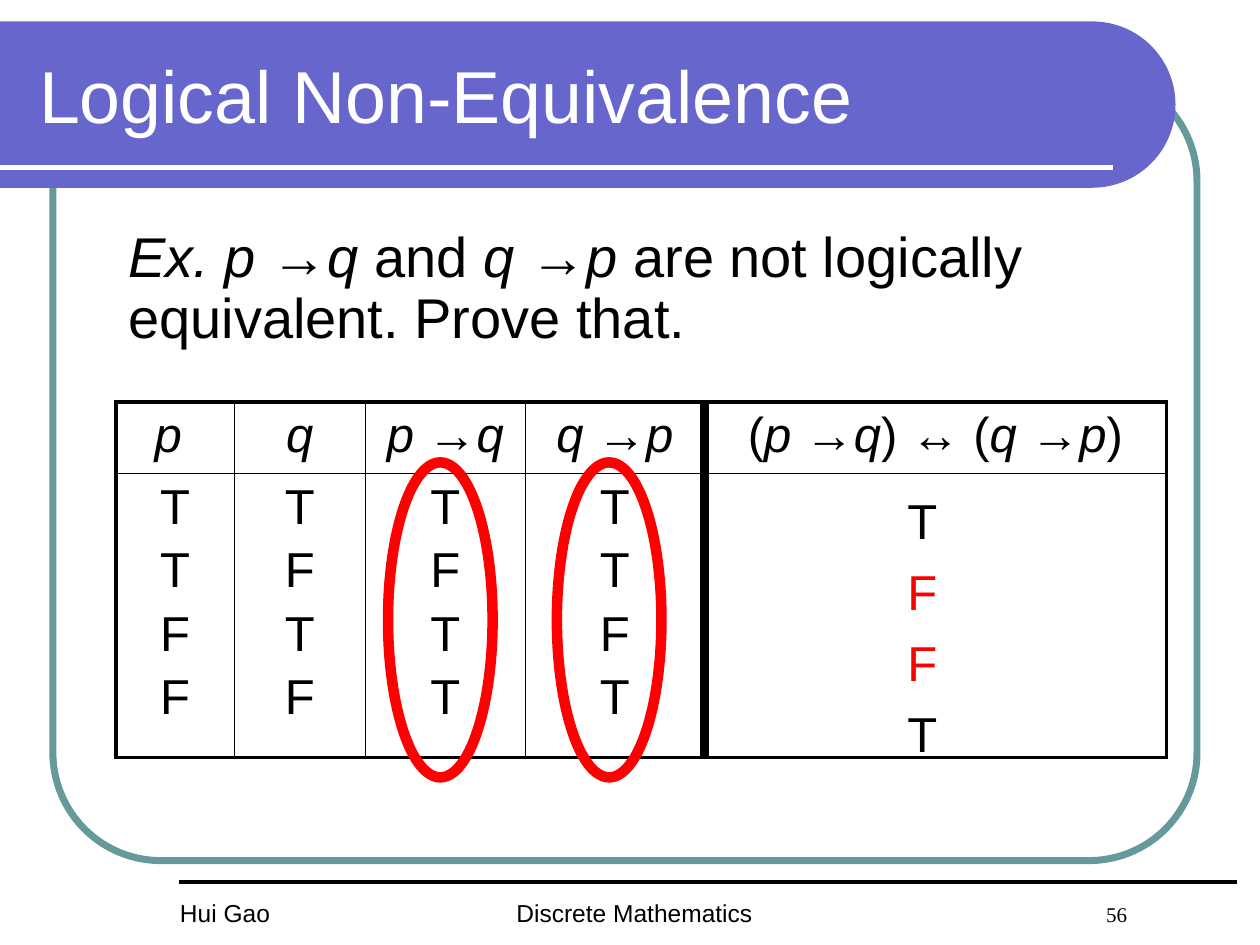
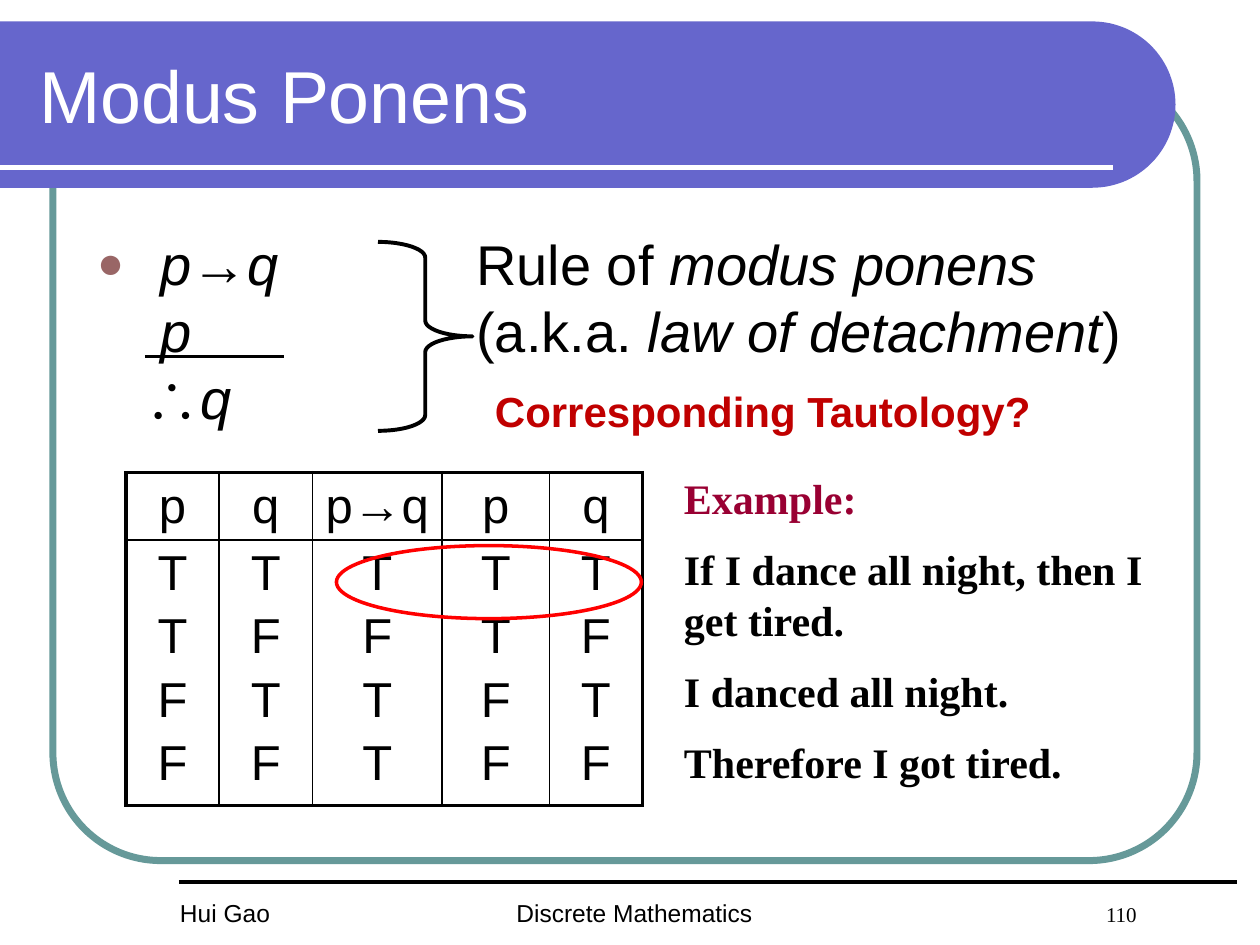
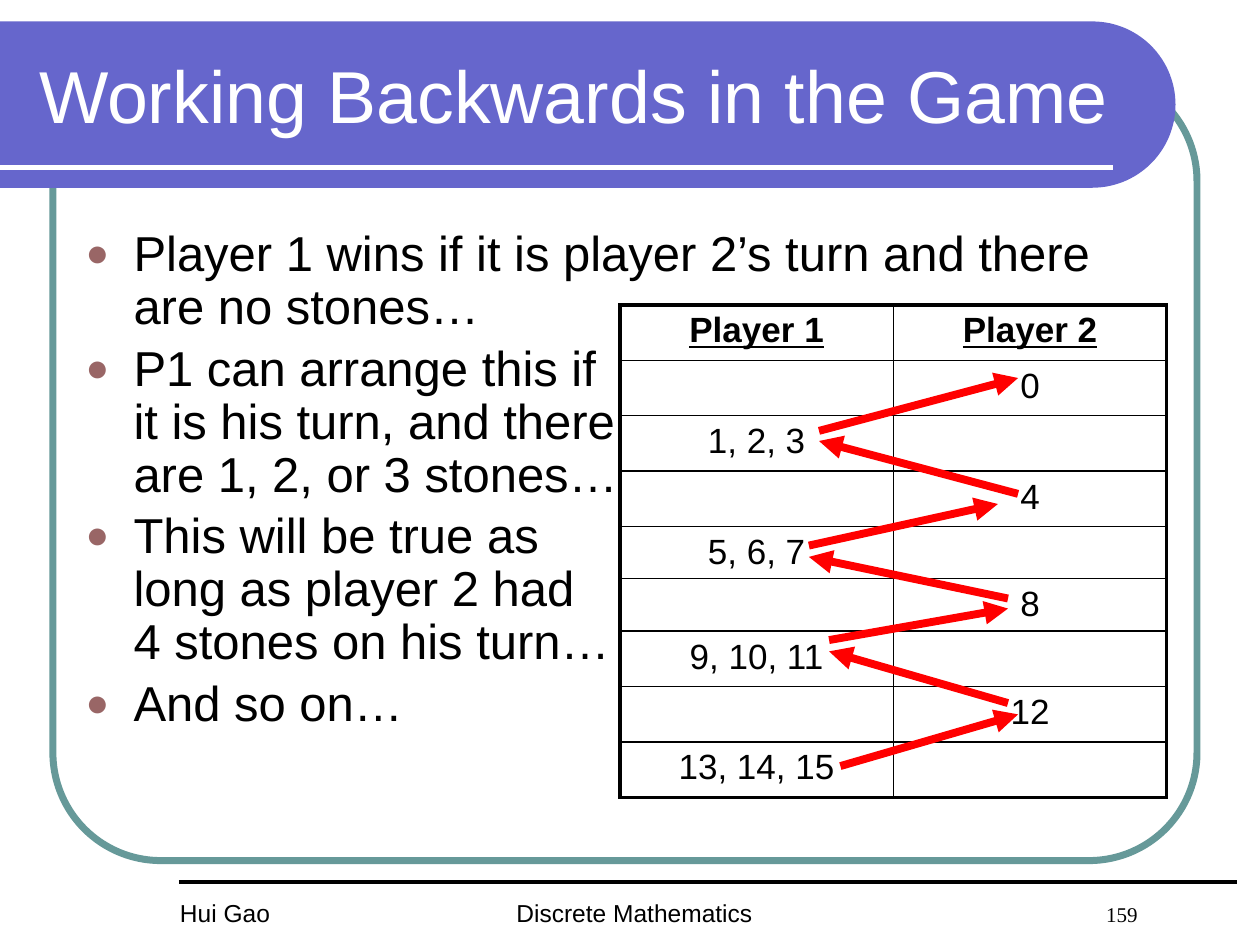
import math
import pptx
import pptx.util
import pptx.dml.color
import pptx.enum.shapes
import pptx.enum.text
import pptx.oxml
import pptx.oxml.ns

Inches, Pt = pptx.util.Inches, pptx.util.Pt
SHAPE = pptx.enum.shapes.MSO_SHAPE
ALIGN = pptx.enum.text.PP_ALIGN
NS = pptx.oxml.ns.nsdecls("a")
HUES = {"band": "6666CC", "frame": "669999", "dot": "996666", "white": "FFFFFF",
        "black": "000000", "red": "FF0000", "false": "FC0000",
        "wine": "990033", "brick": "C00000"}
RGB = {name: pptx.dml.color.RGBColor.from_string(hue) for name, hue in HUES.items()}


def put(frame, lines, size=28, font="Arial", hue="black", bold=False, under=False,
        align=ALIGN.LEFT, gap=0, lead=None, dots=False, tab=None):
    """Fill a text frame; *stars* mark italics, a (text, hue) pair sets a colour."""
    frame.word_wrap = True
    for n, line in enumerate(lines):
        words, tint = line if isinstance(line, tuple) else (line, hue)
        para = frame.paragraphs[0] if n == 0 else frame.add_paragraph()
        props = para._p.get_or_add_pPr()
        if dots:
            props.set("marL", str(Inches(0.38)))
            props.set("indent", str(-Inches(0.38)))
            for tag in (f'<a:buClr {NS}><a:srgbClr val="{HUES["dot"]}"/></a:buClr>',
                        f'<a:buSzPct {NS} val="80000"/>',
                        f'<a:buChar {NS} char="●"/>'):
                props.append(pptx.oxml.parse_xml(tag))
        if tab:
            props.append(pptx.oxml.parse_xml(
                f'<a:tabLst {NS}><a:tab pos="{Inches(tab)}" algn="l"/></a:tabLst>'))
        para.alignment = align
        para.space_before = Pt(gap if n else 0)
        if lead:
            para.line_spacing = lead
        for k, part in enumerate(words.split("*")):
            for m, piece in enumerate(part.split("\n")):
                if m:
                    para.add_line_break()
                if piece:
                    run = para.add_run()
                    run.text = piece
                    run.font.size, run.font.name = Pt(size), font
                    run.font.bold, run.font.italic = bold, k % 2 == 1
                    run.font.underline = under
                    run.font.color.rgb = RGB[tint]


def grid(slide, spot, cols, rows, cells, thick=None, fill=None, **form):
    """Add a ruled table; thick is the column whose left edge is heavy."""
    frame = slide.shapes.add_table(len(rows), len(cols), *map(Inches, spot),
                                   Inches(sum(cols)), Inches(sum(rows)))
    table = frame.table
    table.first_row = table.horz_banding = False
    for c, wide in enumerate(cols):
        table.columns[c].width = Inches(wide)
    for r, high in enumerate(rows):
        table.rows[r].height = Inches(high)
        for c in range(len(cols)):
            cell = table.cell(r, c)
            if fill:
                cell.fill.solid()
                cell.fill.fore_color.rgb = RGB[fill]
            else:
                cell.fill.background()
            edges = {"lnL": 6 if c == thick else 2.25 if c == 0 else 1,
                     "lnR": 6 if c + 1 == thick else 2.25 if c + 1 == len(cols) else 1,
                     "lnT": 2.25 if r == 0 else 1,
                     "lnB": 2.25 if r + 1 == len(rows) else 1}
            for n, (side, width) in enumerate(edges.items()):
                cell._tc.get_or_add_tcPr().insert(n, pptx.oxml.parse_xml(
                    f'<a:{side} {NS} w="{Pt(width)}"><a:solidFill>'
                    f'<a:srgbClr val="{HUES["black"]}"/></a:solidFill></a:{side}>'))
            if cells[r][c]:
                look = {"bold": r == 0, "under": r == 0} if fill else {}
                put(cell.text_frame, cells[r][c].split("|"),
                    align=ALIGN.CENTER, **look, **form)


deck = pptx.Presentation()
deck.slide_width, deck.slide_height = Inches(10), Inches(7.5)
slides, rules, marks = [], [], []

# Shared frame, band, title and footer
for title, page in (("Logical Non-Equivalence", 56), ("Modus Ponens", 110),
                    ("Working Backwards in the Game", 159)):
    slide = deck.slides.add_slide(deck.slide_layouts[1])
    slides.append(slide)
    head, body = slide.placeholders
    box = slide.shapes.add_shape(SHAPE.ROUNDED_RECTANGLE,
                                 *map(Inches, (0.42, 0.58, 9.08, 6.25)))
    box.adjustments[0] = 0.137
    box.shadow.inherit = False
    box.fill.background()
    box.line.color.rgb, box.line.width = RGB["frame"], Pt(4)

    arc = [math.radians(turn) for turn in range(-90, 91, 3)]
    path = [(8.67 + 0.66 * math.cos(t), 0.83 + 0.66 * math.sin(t)) for t in arc]
    pen = slide.shapes.build_freeform(0, Inches(0.17), 1.0)
    pen.add_line_segments([(Inches(x), Inches(y)) for x, y in path + [(0, 1.49)]])
    band = pen.convert_to_shape()
    band.shadow.inherit = False
    band.fill.solid()
    band.fill.fore_color.rgb = RGB["band"]
    band.line.fill.background()
    rules += [(slide, 0, 1.33, 8.83, 1.33, "white", 3, False),
              (slide, 1.42, 7, 9.82, 7, "black", 2.25, False)]

    foot = slide.shapes.add_textbox(*map(Inches, (4, 7.08, 5.92, 0.33))).text_frame
    put(foot, [f"Discrete Mathematics\t{page}"], size=14, tab=4.68)
    num = foot.paragraphs[0].runs[0]
    num.text = "Discrete Mathematics\t"
    last = foot.paragraphs[0].add_run()
    last.text = str(page)
    last.font.size, last.font.name = Pt(12), "Times New Roman"
    last.font.color.rgb = RGB["black"]
    name = slide.shapes.add_textbox(*map(Inches, (1.33, 7.08, 1.92, 0.33)))
    put(name.text_frame, ["Hui Gao"], size=14)

    for holder, spot in ((head, (0.21, 0.25, 8.77, 1)), (body, (0.67, 1.77, 8.67, 4.83))):
        slide.shapes._spTree.append(holder._element)
        holder.left, holder.top, holder.width, holder.height = map(Inches, spot)
        holder.text_frame.auto_size = pptx.enum.text.MSO_AUTO_SIZE.NONE
    head.text_frame.vertical_anchor = pptx.enum.text.MSO_ANCHOR.MIDDLE
    put(head.text_frame, [title], size=42, hue="white")

proof, ponens, game = slides

# Non-equivalence: claim, truth table and verdicts
claim = proof.placeholders[1]
claim._element.getparent().remove(claim._element)
claim = proof.shapes.add_textbox(*map(Inches, (0.92, 1.77, 8.17, 1.07)))
put(claim.text_frame, ["*Ex. p →q *and *q →p *are not logically equivalent. Prove that."],
    size=32, lead=0.9)
grid(proof, (0.92, 3.19), (0.94, 1.04, 1.27, 1.42, 3.67), (0.57, 2.25),
     (("*p *", "*q*", "*p *→*q*", "*q *→*p*", "(*p *→*q*) ↔ (*q *→*p*)"),
      ("T|T|F|F", "T|F|T|F", "T|F|T|T", "T|T|F|T", "")), thick=4, gap=5)
truth = proof.shapes.add_textbox(*map(Inches, (7.06, 3.84, 0.52, 2.27)))
put(truth.text_frame, ["T", ("F", "false"), ("F", "false"), "T"],
    align=ALIGN.CENTER, gap=7)
marks += [(proof, SHAPE.OVAL, (x, 3.67, 0.83, 2.5), "red", 6) for x in (3.08, 4.42)]

# Modus ponens: rule, truth table and example
put(ponens.placeholders[1].text_frame,
    [" *p*→*q*\tRule of *modus ponens*\n *p*\t(a.k.a. *law of detachment*)\n∴*q*"],
    size=32, dots=True, tab=3.01)
rules.append((ponens, 1.15, 2.83, 2.25, 2.83, "black", 2, False))
grid(ponens, (1, 3.75), (0.74, 0.74, 1.03, 0.85, 0.74), (0.53, 2.11),
     (("p", "q", "p→q", "p", "q"),
      ("T|T|F|F", "T|F|T|F", "T|F|T|T", "T|T|F|F", "T|F|T|F")), gap=5)
marks += [(ponens, SHAPE.RIGHT_BRACE, (3, 1.92, 0.75, 1.5), "black", 2.25),
          (ponens, SHAPE.OVAL, (2.67, 4.33, 2.42, 0.58), "red", 2)]
dance = ponens.shapes.add_textbox(*map(Inches, (5.33, 3.7, 3.92, 2.7)))
put(dance.text_frame,
    [("Example:", "wine"), "If I dance all night, then I get tired.",
     "I danced all night.", "Therefore I got tired."],
    size=24, font="Times New Roman", bold=True, gap=12)
ask = ponens.shapes.add_textbox(*map(Inches, (3.83, 3.01, 4.54, 0.5)))
put(ask.text_frame, ["Corresponding Tautology?"], size=24, hue="brick", bold=True)

# Game: reasoning, table of stones and arrows back to the start
plan = game.placeholders[1]
plan.left, plan.top, plan.width, plan.height = map(Inches, (0.58, 1.77, 8.41, 4.07))
put(plan.text_frame,
    ["Player 1 wins if it is player 2’s turn and there are no stones…",
     "P1 can arrange this if\nit is his turn, and there\nare 1, 2, or 3 stones…",
     "This will be true as\nlong as player 2 had\n4 stones on his turn…",
     "And so on…"], lead=0.9, gap=5, dots=True)
turns = [("Player 1", "Player 2")]
for left in range(0, 16, 4):
    turns += [("", str(left)), (", ".join(str(left + k) for k in (1, 2, 3)), "")]
grid(game, (4.92, 2.42), (2.17, 2.17),
     (0.44, 0.44, 0.44, 0.44, 0.41, 0.42, 0.44, 0.44, 0.44), turns, fill="white", size=20)
for ends in ((6.5, 3.42, 8.08, 3), (8.08, 3.92, 6.5, 3.5), (6.42, 4.33, 7.92, 4),
             (8, 4.75, 6.42, 4.42), (6.58, 5.08, 8, 4.83), (8, 5.58, 6.58, 5.17),
             (6.67, 6.08, 8.08, 5.67)):
    rules.append((game, *ends, "red", 4.5, True))

# Outlined marks
for slide, kind, spot, hue, width in marks:
    mark = slide.shapes.add_shape(kind, *map(Inches, spot))
    if kind == SHAPE.RIGHT_BRACE:
        mark.adjustments[0] = 0.167
    mark.shadow.inherit = False
    mark.fill.background()
    mark.line.color.rgb, mark.line.width = RGB[hue], Pt(width)

# Rules and arrows
for slide, x1, y1, x2, y2, hue, width, arrow in rules:
    rule = slide.shapes.add_connector(pptx.enum.shapes.MSO_CONNECTOR.STRAIGHT,
                                      *map(Inches, (x1, y1, x2, y2)))
    rule.line.color.rgb, rule.line.width = RGB[hue], Pt(width)
    if arrow:
        rule.line._get_or_add_ln().append(
            pptx.oxml.parse_xml(f'<a:tailEnd {NS} type="triangle"/>'))
    rule._element.spPr.append(pptx.oxml.parse_xml(f'<a:effectLst {NS}/>'))

deck.save("out.pptx")
